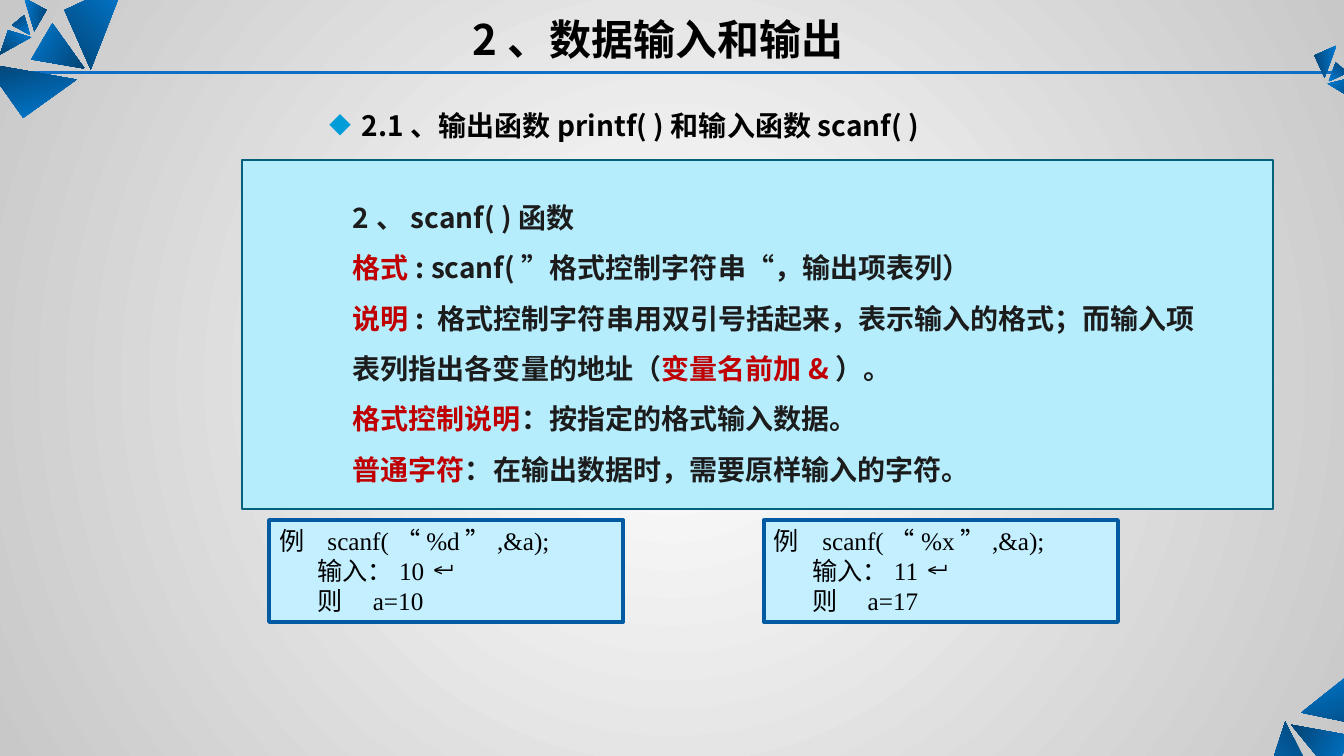
from dataclasses import dataclass
from lxml.etree import SubElement
from pptx import Presentation
from pptx.dml.color import RGBColor
from pptx.dml.fill import FillFormat
from pptx.enum.shapes import MSO_CONNECTOR, MSO_SHAPE
from pptx.enum.text import MSO_ANCHOR, PP_ALIGN
from pptx.oxml.ns import qn
from pptx.shapes.base import BaseShape
from pptx.slide import Slide
from pptx.text.text import TextFrame, _Paragraph
from pptx.util import Emu, Inches, Pt

CELL = Inches(0.1)
COLS, ROWS = 133.33, 75
SANS, SERIF = "Noto Sans CJK SC", "Times New Roman"
RED, INK, BLACK = "C00000", "1C1C1C", "000000"
BOLD = {"name": SANS, "size": Pt(20), "bold": True}
TITLE = {"name": SANS, "size": Pt(30), "bold": True}
CODE = {"name": SERIF, "size": Pt(18)}


@dataclass(frozen=True)
class Shard:
    turn: float
    points: tuple[tuple[float, float], ...]


@dataclass(frozen=True)
class Box:
    col: float
    row: float
    wide: float
    high: float
    fill: str = ""
    edge: str = ""
    width: float = 0


@dataclass(frozen=True)
class Demo:
    col: float
    mark: str
    typed: str
    value: str


SHARDS = [
    Shard(224.2, ((124.4, 81.1), (127.5, 71.6), (130.9, 78.3))),
    Shard(119.1, ((134.2, 73), (128.1, 71.9), (132.1, 76.8))),
    Shard(343.5, ((134.5, 66.4), (129.1, 70.7), (138.8, 72.7))),
    Shard(45.5, ((12.4, -1.8), (9, 6.9), (6.4, 1))),
    Shard(300.5, ((3.1, 5.9), (8.4, 6.8), (5.2, 2.3))),
    Shard(164.9, ((2.3, 11.7), (7.6, 7.9), (-1.5, 6.3))),
    Shard(38, ((0, 5.4), (3.1, 3.7), (0.8, 3))),
    Shard(143.1, ((2.4, 1.5), (3, 3.5), (1.2, 2.5))),
    Shard(278.7, ((4.6, 1), (3.4, 3.1), (2.4, -0.2))),
    Shard(325, ((134.7, 10.1), (131.7, 8.3), (134.1, 7.7))),
    Shard(219.9, ((132.5, 6.2), (131.8, 8.1), (133.7, 7.2))),
    Shard(84.3, ((130.4, 5.5), (131.4, 7.7), (132.6, 4.5))),
]
BODY = [
    [("2、scanf( )函数", INK)],
    [("格式", RED), (": scanf(”格式控制字符串“，输出项表列）", INK)],
    [("说明", RED), (": 格式控制字符串用双引号括起来，表示输入的格式；而输入项", INK)],
    [("表列指出各变量的地址（", INK), ("变量名前加&", RED), ("）。", INK)],
    [("格式控制说明", RED), ("：按指定的格式输入数据。", INK)],
    [("普通字符", RED), ("：在输出数据时，需要原样输入的字符。", INK)],
]
DEMOS = [Demo(26.7, "%d", "10", "10"), Demo(75.8, "%x", "11", "17")]


def cells(count: float) -> Emu:
    return Emu(round(count * CELL))


def tint(code: str) -> RGBColor:
    return RGBColor.from_string(code)


def blend(fill: FillFormat, first: str, last: str) -> None:
    fill.gradient()
    for stop, code in zip(fill.gradient_stops, (first, last)):
        stop.color.rgb = tint(code)


def paint_back(slide: Slide) -> None:
    blend(slide.background.fill, "FFFFFF", "C8C8C8")
    grad = slide.element.find(".//" + qn("a:gradFill"))
    grad.remove(grad.find(qn("a:lin")))
    round_way = SubElement(grad, qn("a:path"), {"path": "circle"})
    sides = dict.fromkeys("ltrb", "50000")
    SubElement(round_way, qn("a:fillToRect"), sides)


def draw_rule(slide: Slide) -> None:
    rule = slide.shapes.add_connector(
        MSO_CONNECTOR.STRAIGHT, cells(0.3), cells(7.2), cells(COLS), cells(7.2))
    rule.line.color.rgb = tint("0F6FC6")
    rule.line.width = Pt(2.25)
    SubElement(rule.element.spPr, qn("a:effectLst"))


def draw_shard(slide: Slide, shard: Shard) -> None:
    start, *rest = [(cells(x), cells(y)) for x, y in shard.points]
    pen = slide.shapes.build_freeform(*start)
    pen.add_line_segments(rest, close=True)
    shape = pen.convert_to_shape()
    shape.shadow.inherit = False
    blend(shape.fill, "007BD3", "034373")
    shape.fill.gradient_angle = (270 - shard.turn) % 360
    shape.line.fill.background()


def draw_box(slide: Slide, box: Box) -> TextFrame:
    place = [cells(n) for n in (box.col, box.row, box.wide, box.high)]
    shape: BaseShape
    if box.fill:
        shape = slide.shapes.add_shape(MSO_SHAPE.RECTANGLE, *place)
        shape.shadow.inherit = False
        shape.fill.solid()
        shape.fill.fore_color.rgb = tint(box.fill)
        shape.line.color.rgb = tint(box.edge)
        shape.line.width = Pt(box.width)
    else:
        shape = slide.shapes.add_textbox(*place)
    frame = shape.text_frame
    frame.word_wrap = True
    frame.vertical_anchor = MSO_ANCHOR.TOP
    return frame


def next_para(frame: TextFrame, index: int) -> _Paragraph:
    para = frame.add_paragraph() if index else frame.paragraphs[0]
    para.alignment = PP_ALIGN.LEFT
    return para


def add_run(para: _Paragraph, text: str, code: str, style: dict) -> None:
    run = para.add_run()
    run.text = text
    for name, value in style.items():
        setattr(run.font, name, value)
    run.font.color.rgb = tint(code)
    SubElement(run._r.get_or_add_rPr(), qn("a:ea"), {"typeface": SANS})


def write_body(slide: Slide) -> None:
    frame = draw_box(slide, Box(24, 15.9, 102.3, 34.6, "B5EDFD", "04617B", 1.75))
    frame.vertical_anchor = MSO_ANCHOR.MIDDLE
    frame.margin_left = cells(11)
    for index, parts in enumerate(BODY):
        para = next_para(frame, index)
        para.line_spacing = 1.5
        for text, code in parts:
            add_run(para, text, code, BOLD)


def write_heads(slide: Slide) -> None:
    title = next_para(draw_box(slide, Box(8, 0.9, 114.5, 6)), 0)
    title.alignment = PP_ALIGN.CENTER
    add_run(title, "2、数据输入和输出", BLACK, TITLE)
    head = next_para(draw_box(slide, Box(26.7, 10.3, 89.4, 4.4)), 0)
    props = head._p.get_or_add_pPr()
    props.set("marL", str(cells(8.2)))
    props.set("indent", str(cells(-3.2)))
    SubElement(SubElement(props, qn("a:buClr")), qn("a:srgbClr"), {"val": "009DD9"})
    SubElement(props, qn("a:buChar"), {"char": "◆"})
    add_run(head, "2.1、输出函数printf( )和输入函数scanf( )", BLACK, BOLD)


def write_demo(slide: Slide, demo: Demo) -> None:
    frame = draw_box(slide, Box(demo.col, 51.6, 35.1, 10.1, "C4EFFF", "025AA2", 3))
    lines = [
        (f"例\tscanf(“{demo.mark}”,&a);", [4.8]),
        (f"\t输入：{demo.typed} ↵", [3.8]),
        (f"\t则\ta={demo.value}", [3.8, 9.3]),
    ]
    for index, (text, stops) in enumerate(lines):
        para = next_para(frame, index)
        tabs = SubElement(para._p.get_or_add_pPr(), qn("a:tabLst"))
        for stop in stops:
            SubElement(tabs, qn("a:tab"), {"pos": str(cells(stop)), "algn": "l"})
        add_run(para, text, BLACK, CODE)


def main() -> None:
    deck = Presentation()
    deck.slide_width, deck.slide_height = cells(COLS), cells(ROWS)
    slide = deck.slides.add_slide(deck.slide_layouts[6])
    paint_back(slide)
    draw_rule(slide)
    for shard in SHARDS:
        draw_shard(slide, shard)
    write_body(slide)
    write_heads(slide)
    for demo in DEMOS:
        write_demo(slide, demo)
    deck.save("out.pptx")


if __name__ == "__main__":
    main()
